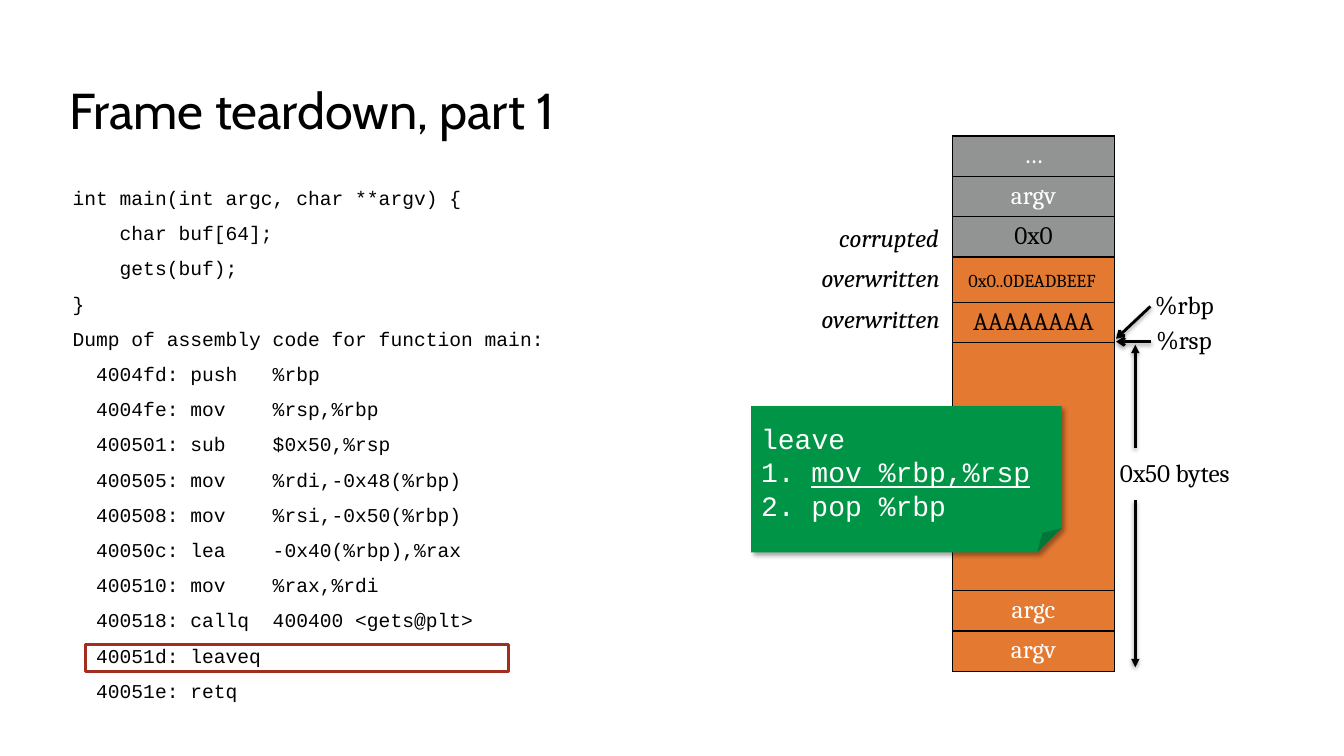
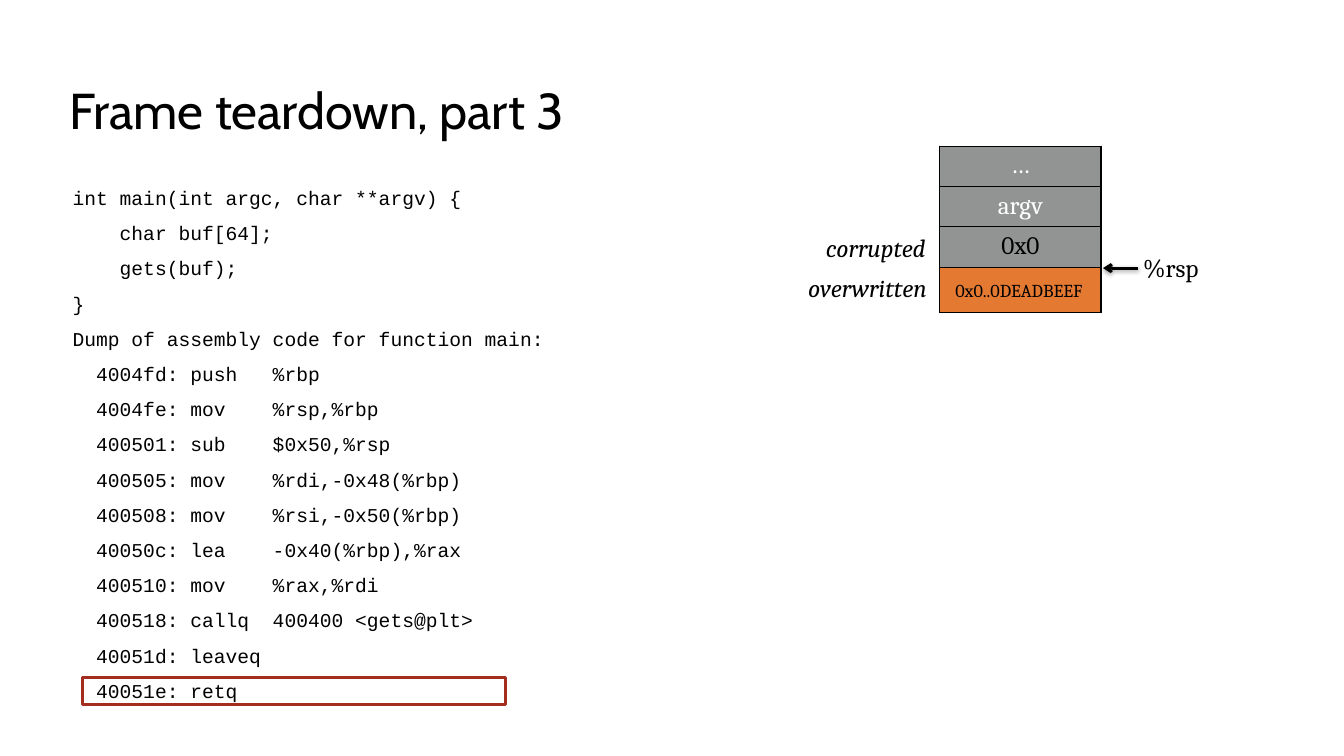
import pptx
import pptx.dml.color
import pptx.enum.shapes
import pptx.enum.text
import pptx.oxml.ns
import pptx.util
from lxml import etree

RGBColor = pptx.dml.color.RGBColor
BLACK = RGBColor(0x00, 0x00, 0x00)
WHITE = RGBColor(0xFF, 0xFF, 0xFF)
NOTE_TEXT = RGBColor(0xFF, 0xFF, 0xFE)
GRAY = RGBColor(0x92, 0x93, 0x93)
ORANGE = RGBColor(0xE4, 0x79, 0x32)
GREEN = RGBColor(0x00, 0x94, 0x46)
RED = RGBColor(0xA3, 0x2D, 0x1F)

PX = 9144
ALIGN = pptx.enum.text.PP_ALIGN
ANCHOR = pptx.enum.text.MSO_ANCHOR
AUTO_SIZE = pptx.enum.text.MSO_AUTO_SIZE
SHAPE = pptx.enum.shapes.MSO_SHAPE
STRAIGHT = pptx.enum.shapes.MSO_CONNECTOR.STRAIGHT
qn = pptx.oxml.ns.qn

CODE = """int main(int argc, char **argv) {
    char buf[64];
    gets(buf);
}
Dump of assembly code for function main:
  4004fd: push   %rbp
  4004fe: mov    %rsp,%rbp
  400501: sub    $0x50,%rsp
  400505: mov    %rdi,-0x48(%rbp)
  400508: mov    %rsi,-0x50(%rbp)
  40050c: lea    -0x40(%rbp),%rax
  400510: mov    %rax,%rdi
  400518: callq  400400 <gets@plt>
  40051d: leaveq
  40051e: retq"""

STACK_ROWS = [
    ("…", 40, GRAY, WHITE),
    ("argv", 40, GRAY, WHITE),
    ("0x0", 40, GRAY, BLACK),
    ("", 45, ORANGE, BLACK),
    ("AAAAAAAA", 40, ORANGE, BLACK),
    ("", 246, ORANGE, BLACK),
    ("argc", 40, ORANGE, WHITE),
    ("argv", 40, ORANGE, WHITE),
]
STACK_WIDTH = 160

CORRUPTED = ("corrupted", -135, 81, 131, ALIGN.RIGHT)
OVERWRITTEN = ("overwritten", -153, 120, 150, ALIGN.RIGHT)
SLIDES = [
    {
        "title": "Frame teardown, part 1",
        "highlight": (85, 639),
        "stack": (945, 135),
        "row_counts": (8, 5),
        "labels": [
            CORRUPTED,
            OVERWRITTEN,
            ("overwritten", -153, 161, 150, ALIGN.RIGHT),
            ("%rsp", 192, 182, 81, ALIGN.LEFT),
            ("%rbp", 191, 147, 83, ALIGN.LEFT),
            ("0x50 bytes", 156, 314, 138, ALIGN.LEFT),
        ],
        "arrows": [
            (197, 204, 162, 204, "arrow"),
            (196, 169, 162, 201, "arrow"),
            (181, 309, 181, 207, "triangle"),
            (181, 361, 181, 527, "triangle"),
        ],
        "note": "leave\nmov %rbp,%rsp\npop %rbp",
    },
    {
        "title": "Frame teardown, part 3",
        "highlight": (82, 672),
        "stack": (932, 145),
        "row_counts": (4, 3),
        "labels": [
            CORRUPTED,
            OVERWRITTEN,
            ("%rsp", 192, 100, 81, ALIGN.LEFT),
        ],
        "arrows": [(197, 121, 162, 121, "arrow")],
        "note": None,
    },
]


def write(frame, text, font="Cambria", size=18, color=BLACK, align=ALIGN.LEFT,
          italic=False, line_spacing=None, space_before=0):
    for index, line in enumerate(text.split("\n")):
        paragraph = frame.add_paragraph() if index else frame.paragraphs[0]
        paragraph.alignment = align
        paragraph.line_spacing = line_spacing
        paragraph.space_before = pptx.util.Pt(space_before if index else 0)
        run = paragraph.add_run()
        run.text = line
        run.font.name = font
        run.font.size = pptx.util.Pt(size)
        run.font.color.rgb = color
        run.font.bold = False
        run.font.italic = italic


def add_shadow(shape, alpha, distance, degrees):
    effects = etree.SubElement(shape._element.spPr, qn("a:effectLst"))
    shadow = etree.SubElement(
        effects, qn("a:outerShdw"), blurRad="40000",
        dist=str(distance), dir=str(degrees * 60000), rotWithShape="0")
    shade = etree.SubElement(shadow, qn("a:srgbClr"), val=str(BLACK))
    etree.SubElement(shade, qn("a:alpha"), val=str(alpha * 1000))


presentation = pptx.Presentation()
presentation.slide_width = 1333 * PX
presentation.slide_height = 750 * PX

for content in SLIDES:
    slide = presentation.slides.add_slide(presentation.slide_layouts[1])

    title = slide.shapes.title
    title.left, title.top, title.width, title.height = [n * PX for n in (59, 40, 1150, 145)]
    title.text_frame.auto_size = AUTO_SIZE.NONE
    title.text_frame.vertical_anchor = ANCHOR.MIDDLE
    write(title.text_frame, content["title"], font="Cabin", size=36, line_spacing=0.9)

    body = slide.placeholders[1]
    body.left, body.top, body.width, body.height = [n * PX for n in (62, 182, 630, 496)]
    body.text_frame.auto_size = AUTO_SIZE.NONE
    write(body.text_frame, CODE, font="Courier New", size=14,
          line_spacing=0.9, space_before=10)
    for paragraph in body.text_frame.paragraphs:
        properties = paragraph._p.get_or_add_pPr()
        properties.set("marL", "0")
        properties.set("indent", "0")
        etree.SubElement(properties, qn("a:buNone"))

    left, top = content["highlight"]
    highlight = slide.shapes.add_shape(SHAPE.RECTANGLE, left * PX, top * PX, 419 * PX, 27 * PX)
    highlight.shadow.inherit = False
    highlight.fill.background()
    highlight.line.color.rgb = RED
    highlight.line.width = pptx.util.Pt(2.25)

    stack_left, stack_top = content["stack"]
    for row_count in content["row_counts"]:
        rows = STACK_ROWS[:row_count]
        stack_height = sum(row[1] for row in rows)
        stack = slide.shapes.add_table(
            row_count, 1, stack_left * PX, stack_top * PX,
            STACK_WIDTH * PX, stack_height * PX).table
        stack.first_row = False
        stack.horz_banding = False
        for index, (text, height, fill, color) in enumerate(rows):
            stack.rows[index].height = height * PX
            cell = stack.cell(index, 0)
            for side in ("a:lnL", "a:lnR", "a:lnT", "a:lnB"):
                border = etree.SubElement(cell._tc.get_or_add_tcPr(), qn(side), w="12700")
                border_fill = etree.SubElement(border, qn("a:solidFill"))
                etree.SubElement(border_fill, qn("a:srgbClr"), val=str(BLACK))
            cell.fill.solid()
            cell.fill.fore_color.rgb = fill
            if text:
                write(cell.text_frame, text, color=color, align=ALIGN.CENTER)

    for text, left, top, width, align in content["labels"]:
        label = slide.shapes.add_textbox(
            (stack_left + left) * PX, (stack_top + top) * PX, width * PX, 40 * PX)
        label.text_frame.word_wrap = False
        write(label.text_frame, text, align=align, italic=align == ALIGN.RIGHT)

    address = slide.shapes.add_textbox(
        (stack_left - 2) * PX, (stack_top + 122) * PX, 161 * PX, 42 * PX)
    address.text_frame.word_wrap = False
    address.text_frame.vertical_anchor = ANCHOR.MIDDLE
    address.text_frame.margin_left = address.text_frame.margin_right = 5 * PX
    address.text_frame.margin_top = address.text_frame.margin_bottom = 0
    write(address.text_frame, "0x0..0DEADBEEF", size=13, align=ALIGN.CENTER)

    for start_x, start_y, end_x, end_y, head in content["arrows"]:
        arrow = slide.shapes.add_connector(
            STRAIGHT,
            (stack_left + start_x) * PX, (stack_top + start_y) * PX,
            (stack_left + end_x) * PX, (stack_top + end_y) * PX)
        arrow.line.color.rgb = BLACK
        arrow.line.width = pptx.util.Pt(2)
        etree.SubElement(arrow._element.spPr.find(qn("a:ln")), qn("a:tailEnd"), type=head)
        add_shadow(arrow, alpha=38, distance=20000, degrees=90)

    if content["note"]:
        note = slide.shapes.add_shape(
            SHAPE.FOLDED_CORNER, 745 * PX, 403 * PX, 308 * PX, 145 * PX)
        note.fill.solid()
        note.fill.fore_color.rgb = GREEN
        note.line.fill.background()
        add_shadow(note, alpha=35, distance=35560, degrees=45)
        note.text_frame.word_wrap = True
        note.text_frame.vertical_anchor = ANCHOR.TOP
        note.text_frame.margin_top = 15 * PX
        write(note.text_frame, content["note"], font="Courier New", size=20, color=NOTE_TEXT)
        steps = note.text_frame.paragraphs[1:]
        for paragraph in steps:
            properties = paragraph._p.get_or_add_pPr()
            properties.set("marL", str(50 * PX))
            properties.set("indent", str(-50 * PX))
            etree.SubElement(properties, qn("a:buFont"), typeface="Courier New")
            etree.SubElement(properties, qn("a:buAutoNum"), type="arabicPeriod")
        steps[0].runs[0].font.underline = True

presentation.save("out.pptx")
